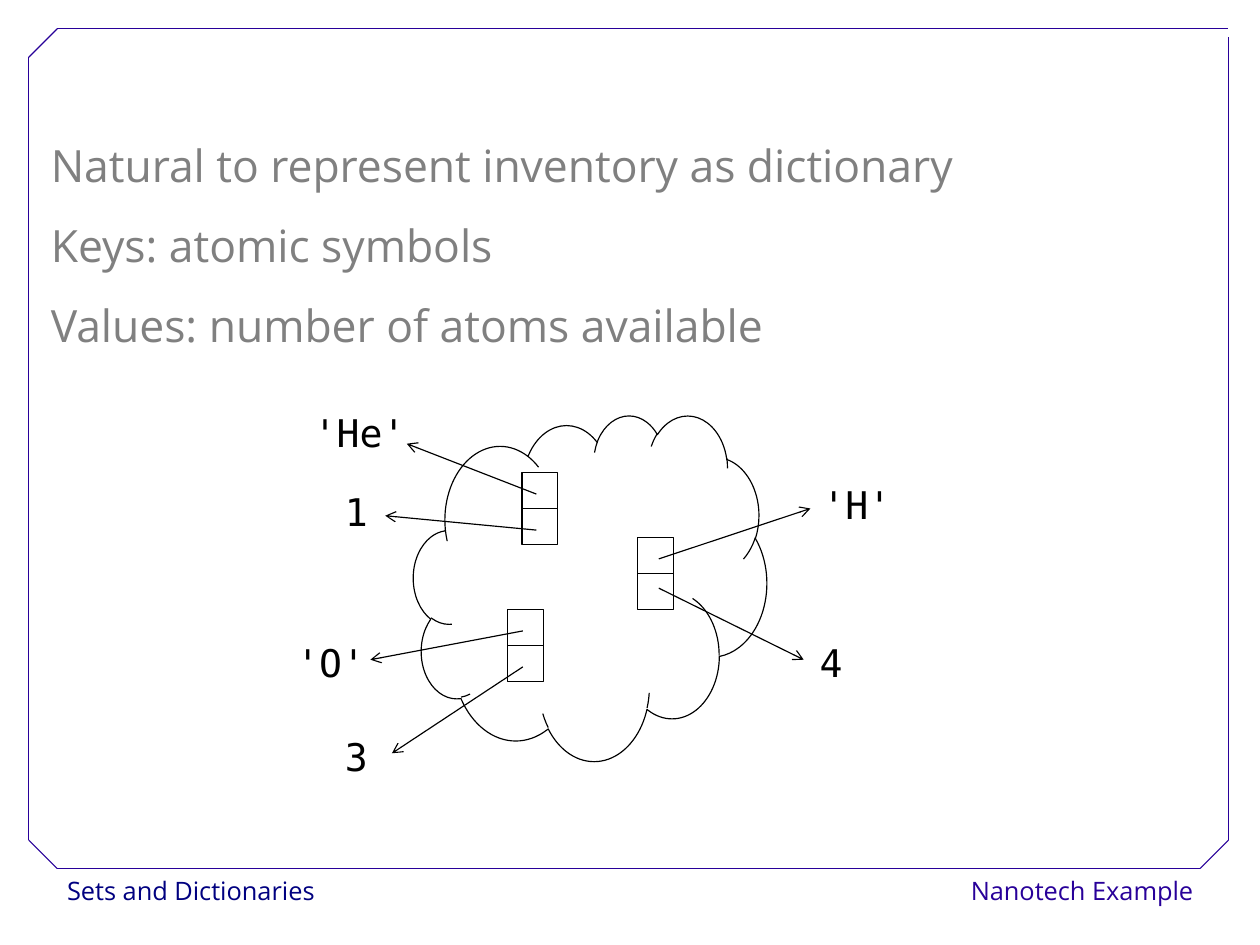
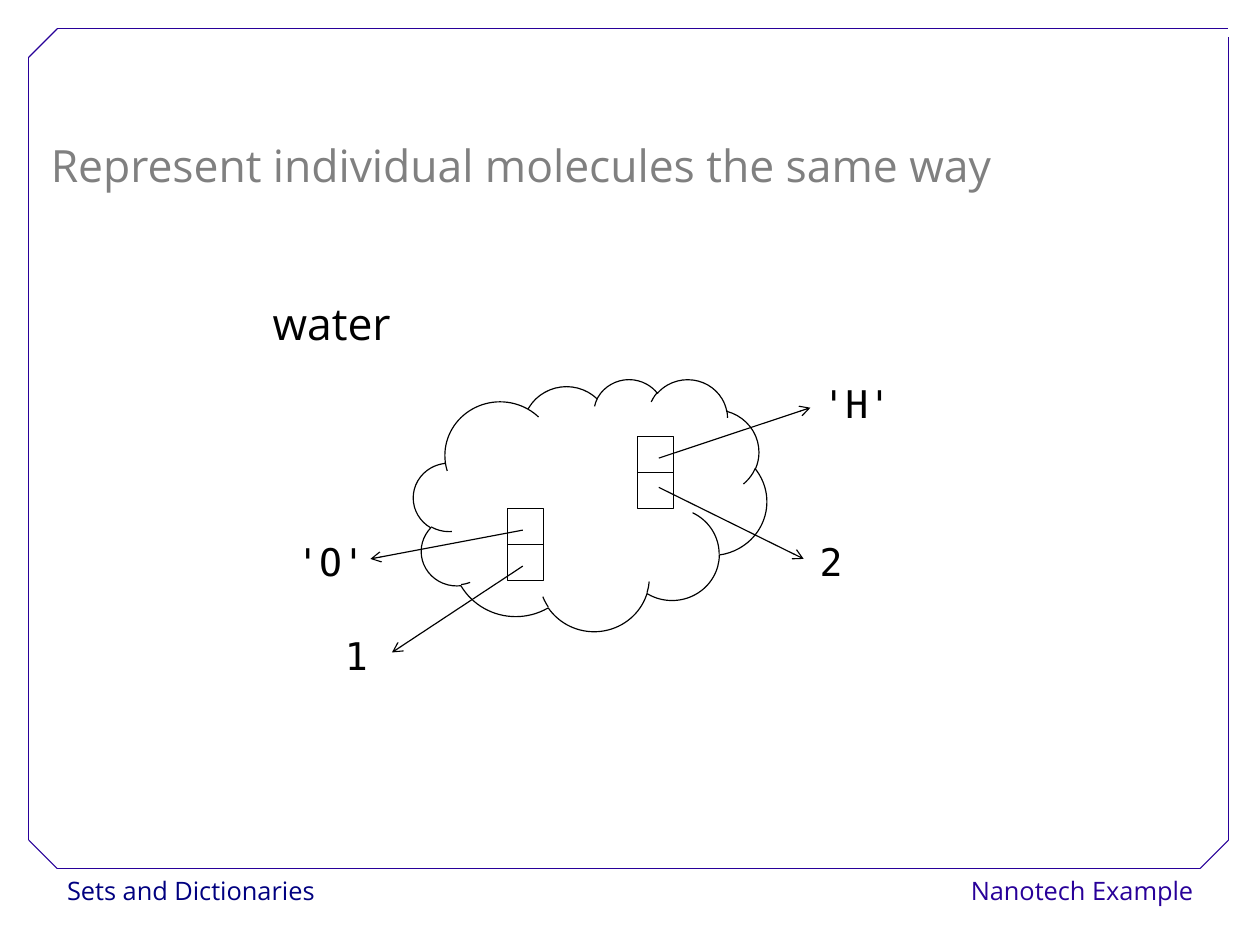
from typing import NamedTuple, Optional

from lxml.etree import SubElement
from pptx import Presentation
from pptx.dml.color import RGBColor
from pptx.enum.shapes import MSO_CONNECTOR, MSO_SHAPE
from pptx.enum.text import PP_ALIGN
from pptx.oxml.ns import qn
from pptx.slide import Slide
from pptx.util import Cm, Pt

BLACK = RGBColor(0x00, 0x00, 0x00)
WHITE = RGBColor(0xFF, 0xFF, 0xFF)
GREY = RGBColor(0x80, 0x80, 0x80)
NAVY = RGBColor(0x00, 0x00, 0x80)
VIOLET = RGBColor(0x28, 0x00, 0x99)
BODY_FONT = "Open Sans"
CODE_FONT = "DejaVu Sans Mono"
LINE_WIDTH = Pt(0.75)

# Frame edges and the ends of its cut corners, in cm
LEFT, RIGHT, TOP, BOTTOM = 0.64, 27.3, 0.64, 19.3
CUT = 0.63
FRAME_LINES = [
    (LEFT + CUT, BOTTOM, RIGHT - CUT, BOTTOM),
    (LEFT, BOTTOM - CUT, LEFT, TOP + CUT),
    (LEFT + CUT, TOP, RIGHT, TOP),
    (RIGHT, BOTTOM - CUT, RIGHT, 0.82),
    (LEFT, TOP + CUT, LEFT + CUT, TOP),
    (RIGHT - CUT, BOTTOM, RIGHT, BOTTOM - CUT),
    (LEFT, BOTTOM - CUT, LEFT + CUT, BOTTOM),
]

CELL = 0.8
LABEL_HEIGHT = 1.12


class Style(NamedTuple):
    font: str
    size: float
    color: RGBColor
    spacing: float
    align: PP_ALIGN = PP_ALIGN.LEFT
    fill: Optional[RGBColor] = None


STATEMENT = Style(BODY_FONT, 28, GREY, 1.5)
CAPTION = STATEMENT._replace(color=BLACK)
CODE = Style(CODE_FONT, 24, BLACK, 0.93, PP_ALIGN.CENTER)
LESSON_FOOTER = Style(BODY_FONT, 16, NAVY, 1.02, fill=WHITE)
TOPIC_FOOTER = LESSON_FOOTER._replace(color=VIOLET, align=PP_ALIGN.RIGHT)


class Pointer(NamedTuple):
    """An arrow from a cell (offset from the pair) to a label (centre, top)."""
    text: str
    offset: tuple[float, float]
    tip: tuple[float, float]
    label: tuple[float, float]


class Entry(NamedTuple):
    """A key cell above a value cell, with what they point to."""
    x: float
    y: float
    key: Pointer
    value: Pointer


def helium(count: str) -> Entry:
    return Entry(11.6, 10.5,
                 Pointer("'He'", (0.32, 0.48), (9.04, 9.86), (7.99, 9.07)),
                 Pointer(count, (0.32, 1.28), (8.56, 11.46), (7.92, 10.82)))


def oxygen(count: str) -> Entry:
    return Entry(11.28, 13.54,
                 Pointer("'O'", (0.34, 0.48), (8.23, 14.66), (7.35, 14.17)),
                 Pointer(count, (0.34, 1.28), (8.71, 16.74), (7.92, 16.26)))


def hydrogen(count: str) -> Entry:
    return Entry(14.16, 11.94,
                 Pointer("'H'", (0.48, 0.48), (18.01, 11.3), (19.04, 10.67)),
                 Pointer(count, (0.48, 1.13), (17.86, 14.66), (18.47, 14.18)))


def add_text(slide: Slide, lines: list[str], style: Style, x: float, y: float,
             width: float, height: float) -> None:
    box = slide.shapes.add_textbox(Cm(x), Cm(y), Cm(width), Cm(height))
    if style.fill is not None:
        box.fill.solid()
        box.fill.fore_color.rgb = style.fill
    frame = box.text_frame
    frame.word_wrap = False
    frame.text = "\n".join(lines)
    for paragraph in frame.paragraphs:
        paragraph.alignment = style.align
        paragraph.line_spacing = style.spacing
        paragraph.font.name = style.font
        paragraph.font.size = Pt(style.size)
        paragraph.font.color.rgb = style.color


def add_line(slide: Slide, x1: float, y1: float, x2: float, y2: float,
             color: RGBColor, arrow: bool = False) -> None:
    connector = slide.shapes.add_connector(
        MSO_CONNECTOR.STRAIGHT, Cm(x1), Cm(y1), Cm(x2), Cm(y2))
    connector.line.color.rgb = color
    connector.line.width = LINE_WIDTH
    properties = connector._element.spPr
    if arrow:
        SubElement(properties.find(qn("a:ln")), qn("a:tailEnd"), type="arrow")
    SubElement(properties, qn("a:effectLst"))


def add_outline(slide: Slide, kind: MSO_SHAPE, x: float, y: float,
                width: float, height: float) -> None:
    outline = slide.shapes.add_shape(kind, Cm(x), Cm(y), Cm(width), Cm(height))
    outline.shadow.inherit = False
    outline.fill.background()
    outline.line.color.rgb = BLACK
    outline.line.width = LINE_WIDTH


def add_dictionary(slide: Slide, cloud_top: float, cloud_height: float,
                   entries: list[Entry], shift: float = 0) -> None:
    """Draw the cloud and its entries, the entries moved down by shift."""
    add_outline(slide, MSO_SHAPE.CLOUD, 9.19, cloud_top, 7.85, cloud_height)
    for entry in entries:
        top = entry.y + shift
        for row in range(2):
            add_outline(slide, MSO_SHAPE.RECTANGLE, entry.x, top + row * CELL, CELL, CELL)
    for entry in entries:
        for pointer in (entry.key, entry.value):
            dx, dy = pointer.offset
            tip_x, tip_y = pointer.tip
            add_line(slide, entry.x + dx, entry.y + dy + shift,
                     tip_x, tip_y + shift, BLACK, arrow=True)
            center, label_top = pointer.label
            width = 0.6 + 0.55 * len(pointer.text)
            add_text(slide, [pointer.text], CODE, center - width / 2,
                     label_top + shift, width, LABEL_HEIGHT)


def add_lesson_slide(deck: Presentation, statements: list[str], height: float) -> Slide:
    """Start a slide with the shared footers, frame and statements."""
    slide = deck.slides.add_slide(deck.slide_layouts[6])
    add_text(slide, ["Sets and Dictionaries"], LESSON_FOOTER, 1.24, 19.3, 6.1, 1.02)
    add_text(slide, ["Nanotech Example"], TOPIC_FOOTER, 21.3, 19.3, 5.47, 1.02)
    for ends in FRAME_LINES:
        add_line(slide, *ends, VIOLET)
    add_text(slide, statements, STATEMENT, 0.88, 2.34, 24, height)
    return slide


def main() -> None:
    deck = Presentation()
    deck.slide_width, deck.slide_height = Cm(28), Cm(21)

    # Inventory of atoms
    inventory = add_lesson_slide(deck, [
        "Natural to represent inventory as dictionary",
        "Keys: atomic symbols",
        "Values: number of atoms available",
    ], 5.59)
    add_dictionary(inventory, 9.22, 7.68, [helium("1"), oxygen("3"), hydrogen("4")])

    # One molecule
    molecule = add_lesson_slide(
        deck, ["Represent individual molecules the same way"], 2.03)
    add_dictionary(molecule, 8.42, 5.6, [oxygen("1"), hydrogen("2")], shift=-2.24)
    add_text(molecule, ["water"], CAPTION, 5.81, 5.87, 3.2, 2.03)

    deck.save("out.pptx")


if __name__ == "__main__":
    main()
